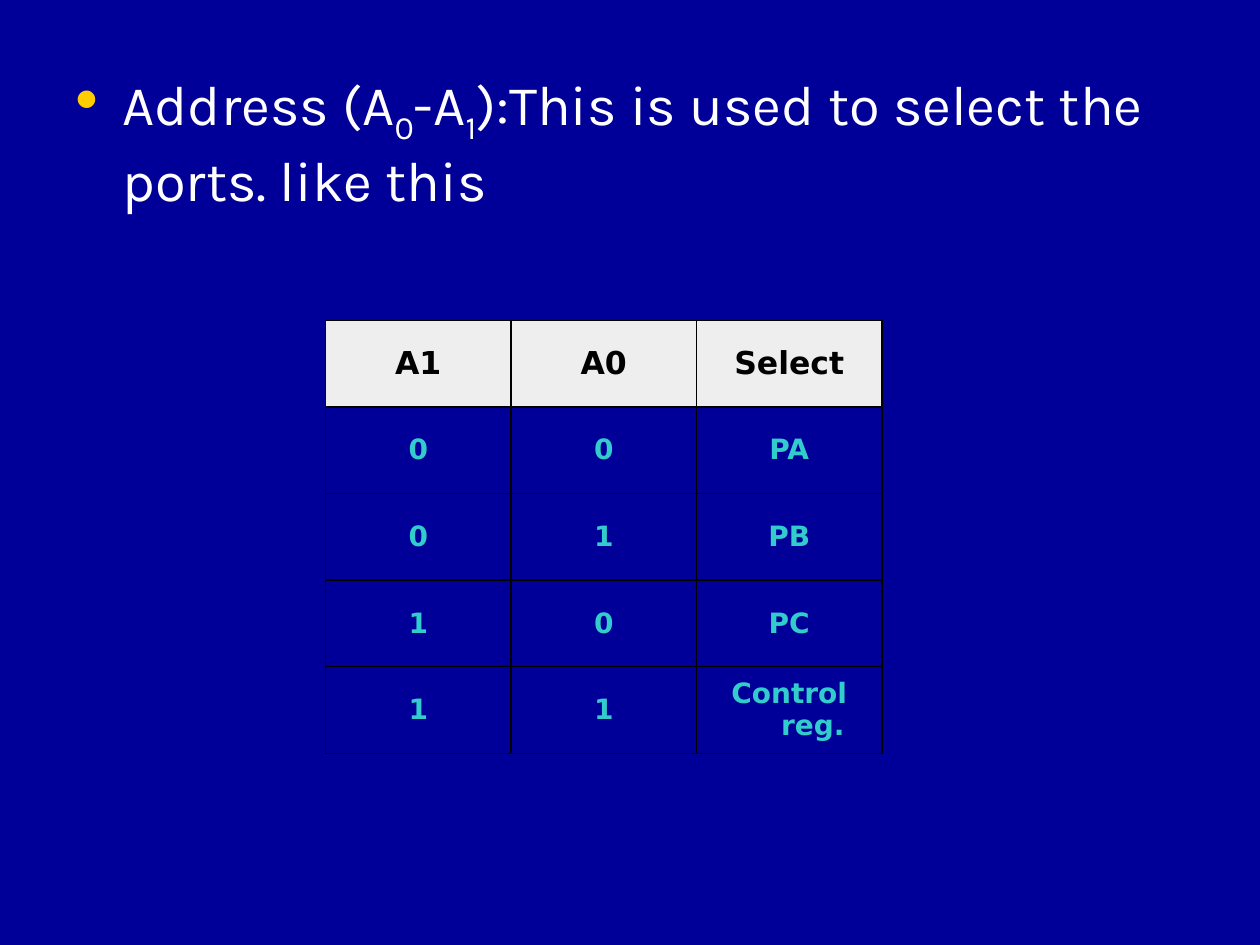
"""Builds a slide on the port selection address lines."""
import pptx
import pptx.util
import pptx.dml.color
import pptx.enum.text
import pptx.oxml
import pptx.oxml.ns

Pt = pptx.util.Pt
MIDDLE = pptx.enum.text.MSO_ANCHOR.MIDDLE
CENTER = pptx.enum.text.PP_ALIGN.CENTER
NS = pptx.oxml.ns.nsdecls("a")

ADDRESS = [("Address (A", False), ("0", True), ("-A", False), ("1", True),
           ("):This is used to select the ports. like this", False)]
ROWS = [("A1", "A0", "Select"),
        ("0", "0", "PA"),
        ("0", "1", "PB"),
        ("1", "0", "PC"),
        ("1", "1", "Control reg.")]
BODY_FONT = {"name": "Karla", "size": Pt(32)}
HEAD_FONT = {"name": "DejaVu Sans", "size": Pt(18), "bold": True}
CELL_FONT = {**HEAD_FONT, "size": Pt(16)}
INDENT = 27
LEFT, TOP, COL_W, ROW_H = 186, 183, 106, 49.5
BULLET = ('<a:buClr {ns}><a:srgbClr val="FFCC00"/></a:buClr>',
          '<a:buSzPct {ns} val="120000"/>',
          '<a:buChar {ns} char="\u2022"/>')


def rgb(value):
    """Return a colour from a hex string."""
    return pptx.dml.color.RGBColor.from_string(value)


def add_run(p, text, font, color):
    """Add a formatted run to a paragraph."""
    r = p.add_run()
    r.text = text
    for name, value in font.items():
        setattr(r.font, name, value)
    r.font.color.rgb = rgb(color)
    return r


def hang(p):
    """Give a paragraph a hanging indent and return its properties."""
    pPr = p._p.get_or_add_pPr()
    pPr.set("marL", str(Pt(INDENT)))
    pPr.set("indent", str(-Pt(INDENT)))
    return pPr


def add_borders(cell):
    """Draw a thin black line on each side of a cell."""
    tcPr = cell._tc.get_or_add_tcPr()
    for side in "LRTB":
        tcPr.append(pptx.oxml.parse_xml(
            f'<a:ln{side} {NS} w="{Pt(1)}"><a:solidFill>'
            f'<a:srgbClr val="000000"/></a:solidFill></a:ln{side}>'))


prs = pptx.Presentation()
prs.slide_width, prs.slide_height = Pt(720), Pt(540)
s = prs.slides.add_slide(prs.slide_layouts[6])
s.background.fill.solid()
s.background.fill.fore_color.rgb = rgb("000099")

tf = s.shapes.add_textbox(Pt(36), Pt(36), Pt(648), Pt(446.4)).text_frame
tf.word_wrap = True
p = tf.paragraphs[0]
p.space_before = Pt(6.4)
pPr = hang(p)
for part in BULLET:
    pPr.append(pptx.oxml.parse_xml(part.format(ns=NS)))
for text, subscript in ADDRESS:
    r = add_run(p, text, BODY_FONT, "FFFFFF")
    if subscript:
        r.font._element.set("baseline", "-25000")

table = s.shapes.add_table(len(ROWS), len(ROWS[0]), Pt(LEFT), Pt(TOP),
                           Pt(COL_W * len(ROWS[0])), Pt(ROW_H * len(ROWS))).table
table.first_row = table.horz_banding = False
for column in table.columns:
    column.width = Pt(COL_W)
for i, texts in enumerate(ROWS):
    table.rows[i].height = Pt(ROW_H)
    for j, text in enumerate(texts):
        cell = table.cell(i, j)
        cell.vertical_anchor = MIDDLE
        add_borders(cell)
        if i == 0:
            cell.fill.solid()
            cell.fill.fore_color.rgb = rgb("EEEEEE")
        else:
            cell.fill.background()
        p = cell.text_frame.paragraphs[0]
        p.alignment = CENTER
        hang(p)
        add_run(p, text, CELL_FONT if i else HEAD_FONT, "33CCCC" if i else "000000")

prs.save("out.pptx")
